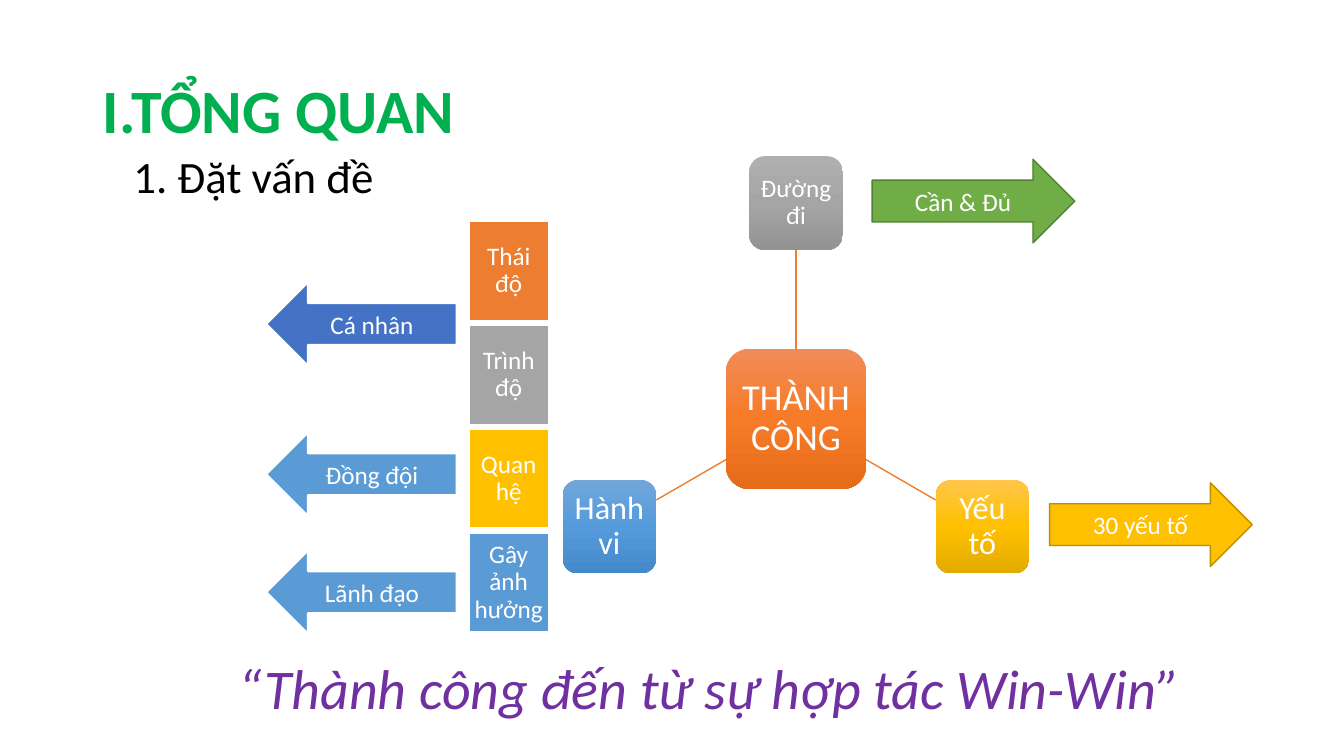
from copy import deepcopy

from lxml.etree import SubElement
from pptx import Presentation
from pptx.dml.color import RGBColor
from pptx.enum.shapes import MSO_CONNECTOR, MSO_SHAPE
from pptx.enum.text import MSO_ANCHOR, PP_ALIGN
from pptx.oxml.ns import qn
from pptx.util import Pt

PX = 9144  # 100 px to the inch
FONT = "Calibri"
COLORS = {
    "title": "00B050", "subtitle": "000000", "quote": "7030A0", "white": "FFFFFF",
    "orange": "ED7D31", "gray": "A5A5A5", "gold": "FFC000", "sky": "5B9BD5",
    "blue": "4472C4", "green": "70AD47", "green_edge": "538035", "gold_edge": "BD8E00",
}
GRADIENTS = {
    "orange": ("F18C57", "F67B28", "E56C19"),
    "gray": ("AFAFAF", "A5A5A5", "939393"),
    "gold": ("FFC64B", "FFC000", "E3AB00"),
    "sky": ("71A6DB", "559BDB", "448ACA"),
}


def rgb(name):
    return RGBColor.from_string(COLORS[name])


def emu(*lengths):
    return [round(length * PX) for length in lengths]


def write(shape, text, size, color="white", align=PP_ALIGN.CENTER, spacing=None,
          inset=None, wrap=True, anchor=MSO_ANCHOR.MIDDLE, bold=False, italic=False):
    frame = shape.text_frame
    frame.text = text
    frame.word_wrap = wrap
    frame.vertical_anchor = anchor
    if inset is not None:
        frame.margin_left = frame.margin_right = inset * PX
        frame.margin_top = frame.margin_bottom = inset * PX
    paragraph = frame.paragraphs[0]
    paragraph.alignment = align
    if spacing:
        paragraph.line_spacing = spacing
    font = paragraph.runs[0].font
    font.name, font.size = FONT, Pt(size)
    font.bold, font.italic = bold, italic
    font.color.rgb = rgb(color)


def add_text(slide, box, text, size, color, **options):
    write(slide.shapes.add_textbox(*emu(*box)), text, size, color, **options)


def add_block(slide, preset, box, fill, edge=None, edge_width=1):
    block = slide.shapes.add_shape(preset, *emu(*box))
    block.shadow.inherit = False
    block.fill.solid()
    block.fill.fore_color.rgb = rgb(fill)
    if edge:
        block.line.color.rgb = rgb(edge)
        block.line.width = Pt(edge_width)
    else:
        block.line.fill.background()
    return block


def shade(block, gradient):
    """Three-stop gradient running from top to bottom."""
    block.fill.gradient()
    block.fill.gradient_angle = 270
    stop_list = block._element.spPr.find(qn("a:gradFill")).find(qn("a:gsLst"))
    stop_list.insert(1, deepcopy(stop_list[0]))
    for stop, position, color in zip(block.fill.gradient_stops, (0, 0.5, 1), GRADIENTS[gradient]):
        stop.position = position
        stop.color.rgb = RGBColor.from_string(color)


def add_spoke(slide, start, end):
    spoke = slide.shapes.add_connector(MSO_CONNECTOR.STRAIGHT, *emu(*start, *end))
    spoke.line.color.rgb = rgb("orange")
    spoke.line.width = Pt(1)
    SubElement(spoke._element.spPr, qn("a:effectLst"))
    return spoke


def heading(slide, left, top):
    add_text(slide, (left, top, 1150, 145), "I.TỔNG QUAN", 44, "title",
             align=PP_ALIGN.LEFT, spacing=0.9, bold=True)
    add_text(slide, (left + 29, top + 103, 261, 64), "1. Đặt vấn đề", 32, "subtitle",
             wrap=False, anchor=MSO_ANCHOR.TOP)


def success_wheel(slide, left, top):
    """Hub with one node above and one at each lower side."""
    hub_size, node_size = 139, 93
    hub_left, hub_top = left + 162, top + 191
    hub_right = hub_left + hub_size
    center = hub_left + hub_size / 2
    side_top = top + 321

    def tile(box, text, size, gradient, inset):
        block = add_block(slide, MSO_SHAPE.ROUNDED_RECTANGLE, box, gradient)
        shade(block, gradient)
        write(block, text, size, spacing=0.9, inset=inset)
        return block

    hub = tile((hub_left, hub_top, hub_size, hub_size), "THÀNH CÔNG", 26, "orange", 7)
    path_node = tile((center - node_size / 2, top, node_size, node_size),
                     "Đường đi", 18, "gray", 5)
    factor_left = 2 * center - left - node_size
    tile((factor_left, side_top, node_size, node_size), "Yếu tố", 23, "gold", 6)
    tile((left, side_top, node_size, node_size), "Hành vi", 23, "sky", 6)

    # Spokes
    upward = add_spoke(slide, (center, hub_top), (center, top + node_size))
    upward.begin_connect(hub, 0)
    upward.end_connect(path_node, 2)
    for hub_side, node_side in ((hub_right, factor_left), (hub_left, left + node_size)):
        add_spoke(slide, (hub_side, hub_top + 110), (node_side, side_top + 20))


def behavior_column(slide, left, top):
    width, height, gap = 79, 98, 5
    behaviors = (("Thái độ", "orange"), ("Trình độ", "gray"),
                 ("Quan hệ", "gold"), ("Gây ảnh hưởng", "sky"))
    for row, (text, fill) in enumerate(behaviors):
        box = (left, top + row * (height + gap), width, height)
        block = add_block(slide, MSO_SHAPE.RECTANGLE, box, fill, "white")
        write(block, text, 18, spacing=0.9, inset=4)


def role_arrows(slide, left):
    for text, top, fill in (("Cá nhân", 280, "blue"), ("Đồng đội", 429, "sky"),
                            ("Lãnh đạo", 546, "sky")):
        arrow = add_block(slide, MSO_SHAPE.LEFT_ARROW, (left, top, 189, 83), fill, "white", 1.5)
        write(arrow, text, 18)


def result_arrows(slide):
    for text, left, top, fill in (("Cần & Đủ", 865, 158, "green"),
                                  ("30 yếu tố", 1041, 479, "gold")):
        arrow = add_block(slide, MSO_SHAPE.RIGHT_ARROW, (left, top, 201, 83),
                          fill, fill + "_edge")
        write(arrow, text, 18)


def closing_quote(slide, left, top):
    add_text(slide, (left, top, 967, 77), "“Thành công đến từ sự hợp tác Win-Win”", 40,
             "quote", wrap=False, anchor=MSO_ANCHOR.TOP, italic=True)


def main():
    deck = Presentation()
    deck.slide_width, deck.slide_height = emu(1333, 750)
    slide = deck.slides.add_slide(deck.slide_layouts[6])
    heading(slide, 92, 40)
    success_wheel(slide, 558, 155)
    result_arrows(slide)
    behavior_column(slide, 465, 220)
    role_arrows(slide, 264)
    closing_quote(slide, 220, 643)
    deck.save("out.pptx")


if __name__ == "__main__":
    main()
